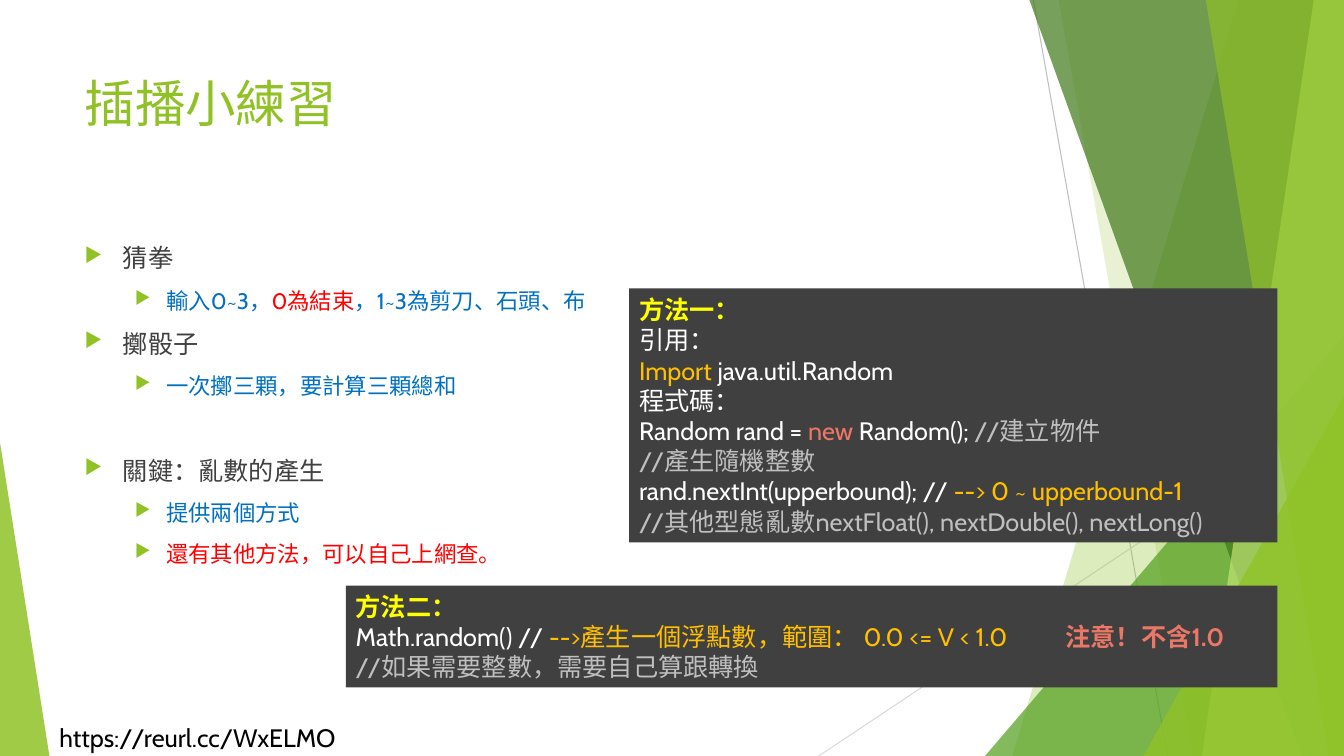
from dataclasses import dataclass

from lxml import etree
from pptx import Presentation
from pptx.dml.color import RGBColor
from pptx.enum.shapes import MSO_CONNECTOR, MSO_SHAPE
from pptx.enum.text import MSO_ANCHOR, PP_ALIGN
from pptx.oxml.ns import qn
from pptx.util import Inches, Pt

STRAIGHT = MSO_CONNECTOR.STRAIGHT
TRIANGLE, RECTANGLE = MSO_SHAPE.ISOSCELES_TRIANGLE, MSO_SHAPE.RECTANGLE
TOP, MIDDLE, LEFT = MSO_ANCHOR.TOP, MSO_ANCHOR.MIDDLE, PP_ALIGN.LEFT
WIDTH, HEIGHT = 13.33, 7.5
TITLE_ONLY = 5


@dataclass(frozen=True)
class Theme:
    font: str = "Cabin"
    green: str = "90C226"
    mid_green: str = "54A021"
    dark_green: str = "3F7819"
    pale_green: str = "C0E474"
    dark: str = "404040"
    black: str = "000000"
    white: str = "FFFFFF"
    grey: str = "BFBFBF"
    light_grey: str = "D9D9D9"
    blue: str = "0070C0"
    red: str = "FF0000"
    yellow: str = "FFFF00"
    amber: str = "FFC000"
    coral: str = "EB7766"
    title_size: int = 36
    text_size: int = 18
    detail_size: int = 16


THEME = Theme()

# Each outline item: level, extra space above, runs of (text, colour)
OUTLINE = [
    (0, 0, [("猜拳", THEME.dark)]),
    (1, 10, [("輸入0~3，", THEME.blue), ("0為結束", THEME.red),
             ("，1~3為剪刀、石頭、布", THEME.blue)]),
    (0, 10, [("擲骰子", THEME.dark)]),
    (1, 10, [("一次擲三顆，要計算三顆總和", THEME.blue)]),
    (0, 40, [("關鍵：亂數的產生", THEME.dark)]),
    (1, 10, [("提供兩個方式", THEME.blue)]),
    (1, 10, [("還有其他方法，可以自己上網查。", THEME.red)]),
]

# Each code line: runs of (text, colour[, bold])
METHOD_ONE = [
    [("方法一：", THEME.yellow, True)],
    [("引用：", THEME.white)],
    [("Import ", THEME.amber), ("java.util.Random", THEME.white)],
    [("程式碼：", THEME.white)],
    [("Random rand = ", THEME.white), ("new", THEME.coral),
     (" Random(); ", THEME.white), ("//建立物件", THEME.grey)],
    [("//產生隨機整數", THEME.grey)],
    [("rand.nextInt(upperbound); // ", THEME.white), ("--> 0 ~ upperbound-1", THEME.amber)],
    [("//其他型態亂數nextFloat(), nextDouble(), nextLong()", THEME.grey)],
]
METHOD_TWO = [
    [("方法二：", THEME.yellow, True)],
    [("Math.random() // ", THEME.white),
     ("-->產生一個浮點數，範圍： 0.0 <= V < 1.0\t", THEME.amber),
     ("注意！不含1.0", THEME.coral, True)],
    [("//如果需要整數，需要自己算跟轉換", THEME.grey)],
]


def rgb(colour):
    return RGBColor.from_string(colour)


def inches(*lengths):
    return [Inches(length) for length in lengths]


def add_runs(paragraph, runs, size):
    for text, colour, *bold in runs:
        run = paragraph.add_run()
        run.text = text
        formats = {"name": THEME.font, "size": Pt(size), "bold": bool(bold)}
        for name, value in formats.items():
            setattr(run.font, name, value)
        run.font.color.rgb = rgb(colour)


def paint(shape, colour, opacity=100):
    shape.shadow.inherit = False
    shape.fill.solid()
    shape.fill.fore_color.rgb = rgb(colour)
    shape.line.fill.background()
    if opacity < 100:
        colour_element = shape.fill._xPr.find(qn("a:solidFill"))[0]
        etree.SubElement(colour_element, qn("a:alpha"), val=str(opacity * 1000))


def add_line(slide, start, end, colour):
    line = slide.shapes.add_connector(STRAIGHT, *inches(*start, *end))
    line.line.color.rgb = rgb(colour)
    line.line.width = Pt(0.75)
    etree.SubElement(line._element.spPr, qn("a:effectLst"))


def add_band(slide, top_left, bottom_left, colour, opacity):
    """Full-height band from a slanted left edge to the right slide edge."""
    builder = slide.shapes.build_freeform(*inches(top_left, 0))
    corners = [(WIDTH, 0), (WIDTH, HEIGHT), (bottom_left, HEIGHT)]
    builder.add_line_segments([inches(*corner) for corner in corners])
    paint(builder.convert_to_shape(), colour, opacity)


def add_corner(slide, left, top, width, apex, colour, opacity):
    """Triangle that stands on the bottom slide edge."""
    shape = slide.shapes.add_shape(TRIANGLE, *inches(left, top, width, HEIGHT - top))
    shape.adjustments[0] = apex
    paint(shape, colour, opacity)


def add_background(slide):
    add_line(slide, (10.25, 0), (11.58, HEIGHT), THEME.grey)
    add_line(slide, (WIDTH, 4.03), (8.12, HEIGHT), THEME.light_grey)
    add_band(slide, 12.28, 10.04, THEME.green, 30)
    add_band(slide, 10.5, 11.83, THEME.green, 20)
    add_corner(slide, 9.77, 3.33, 3.56, 1, THEME.mid_green, 72)
    add_band(slide, 10.21, 12.91, THEME.dark_green, 70)
    add_band(slide, 13.03, 11.92, THEME.pale_green, 70)
    add_band(slide, 11.96, 13.18, THEME.green, 65)
    add_corner(slide, 11.34, 3.93, 1.99, 1, THEME.green, 80)
    add_corner(slide, 0, 4.39, 0.49, 0, THEME.green, 85)


def add_title(slide, box, text):
    title = slide.shapes.title
    title.left, title.top, title.width, title.height = inches(*box)
    title.text_frame.vertical_anchor = TOP
    paragraph = title.text_frame.paragraphs[0]
    paragraph.alignment = LEFT
    add_runs(paragraph, [(text, THEME.green)], THEME.title_size)


def add_bullet(paragraph, level):
    margin, hanging = [(0.38, 0.38), (0.81, 0.31)][level]
    properties = paragraph._p.get_or_add_pPr()
    properties.set("marL", str(Inches(margin)))
    properties.set("indent", str(-Inches(hanging)))
    colour = etree.SubElement(properties, qn("a:buClr"))
    etree.SubElement(colour, qn("a:srgbClr"), val=THEME.green)
    etree.SubElement(properties, qn("a:buSzPct"), val="80000")
    etree.SubElement(properties, qn("a:buChar"), char="▶")


def add_outline(slide, box, items):
    frame = slide.shapes.add_textbox(*inches(*box)).text_frame
    frame.word_wrap = True
    for index, (level, space, runs) in enumerate(items):
        paragraph = frame.add_paragraph() if index else frame.paragraphs[0]
        paragraph.level = level
        add_bullet(paragraph, level)
        if space:
            paragraph.space_before = Pt(space)
        add_runs(paragraph, runs, THEME.detail_size if level else THEME.text_size)


def add_code_panel(slide, box, lines, tab_stop=None):
    panel = slide.shapes.add_shape(RECTANGLE, *inches(*box))
    paint(panel, THEME.dark)
    frame = panel.text_frame
    frame.word_wrap = True
    frame.vertical_anchor = MIDDLE
    for index, runs in enumerate(lines):
        paragraph = frame.add_paragraph() if index else frame.paragraphs[0]
        paragraph.alignment = LEFT
        if tab_stop:
            tabs = etree.SubElement(paragraph._p.get_or_add_pPr(), qn("a:tabLst"))
            etree.SubElement(tabs, qn("a:tab"), pos=str(Inches(tab_stop)), algn="l")
        add_runs(paragraph, runs, THEME.text_size)


def add_address(slide, box, text):
    frame = slide.shapes.add_textbox(*inches(*box)).text_frame
    frame.word_wrap = False
    add_runs(frame.paragraphs[0], [(text, THEME.black)], THEME.text_size)


def main():
    presentation = Presentation()
    presentation.slide_width, presentation.slide_height = inches(WIDTH, HEIGHT)
    slide = presentation.slides.add_slide(presentation.slide_layouts[TITLE_ONLY])
    add_background(slide)
    add_address(slide, (0.49, 7.12, 3.12, 0.38), "https://reurl.cc/WxELMO")
    add_title(slide, (0.74, 0.67, 9.4, 1.44), "插播小練習")
    add_outline(slide, (0.74, 2.36, 9.4, 4.24), OUTLINE)
    add_code_panel(slide, (6.24, 2.86, 6.43, 2.52), METHOD_ONE)
    add_code_panel(slide, (3.43, 5.81, 9.24, 1.01), METHOD_TWO, tab_stop=7.04)
    presentation.save("out.pptx")


if __name__ == "__main__":
    main()
